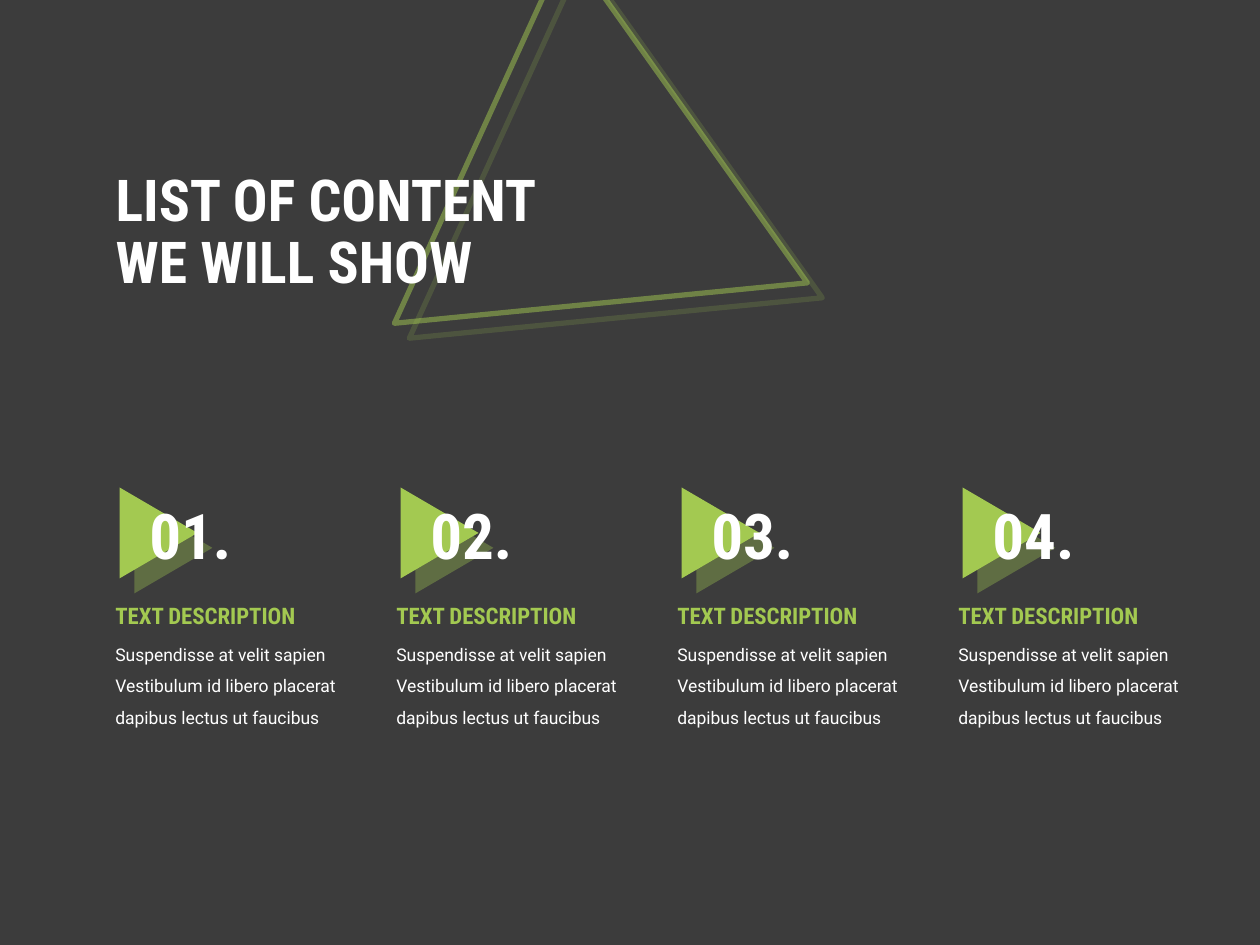
from lxml.etree import SubElement
from pptx import Presentation
from pptx.dml.color import RGBColor
from pptx.enum.shapes import MSO_SHAPE
from pptx.enum.text import MSO_ANCHOR, MSO_AUTO_SIZE, PP_ALIGN
from pptx.oxml.ns import qn
from pptx.util import Emu, Pt

EMU_PER_PX = 914400 / 126
GREEN, WHITE, DARK = "A3C951", "FFFFFF", "3C3C3C"
HEAD_FONT, BODY_FONT = "Roboto Condensed", "Roboto"

NUMBERS = ["01.", "02.", "03.", "04."]
HEADING = "TEXT DESCRIPTION"
DESCRIPTION = "Suspendisse at velit sapien Vestibulum id libero placerat dapibus lectus ut faucibus"
COLUMN_LEFT, COLUMN_PITCH = 103, 281


def px(length):
    return Emu(round(length * EMU_PER_PX))


def rgb(hex_colour):
    return RGBColor.from_string(hex_colour)


def add_alpha(colour_element, percent):
    SubElement(colour_element, qn("a:alpha"), val=str(percent * 1000))


def add_shadow(shape):
    """Give the shape a hard green shadow, down and to the right."""
    shape.shadow.inherit = False
    effects = shape._element.spPr.find(qn("a:effectLst"))
    shadow = SubElement(effects, qn("a:outerShdw"), blurRad="0", dist=str(Pt(12.1)),
                        dir=str(45 * 60000), algn="tl", rotWithShape="0")
    add_alpha(SubElement(shadow, qn("a:srgbClr"), val=GREEN), 35)


def add_triangle(slide, left, top, width, height, rotation, outlined=False):
    triangle = slide.shapes.add_shape(
        MSO_SHAPE.ISOSCELES_TRIANGLE, px(left), px(top), px(width), px(height))
    triangle.rotation = rotation
    if outlined:
        triangle.fill.background()
        triangle.line.color.rgb = rgb(GREEN)
        triangle.line.width = Pt(3)
        add_alpha(triangle.line._ln.find(".//" + qn("a:srgbClr")), 50)
    else:
        triangle.fill.solid()
        triangle.fill.fore_color.rgb = rgb(GREEN)
        triangle.line.fill.background()
    add_shadow(triangle)
    return triangle


def add_run(paragraph, text, size, colour, font_name, bold):
    run = paragraph.add_run()
    run.text = text
    run.font.size = Pt(size)
    run.font.name = font_name
    run.font.bold = bold
    run.font.color.rgb = rgb(colour)


def add_text(slide, left, top, width, height, text, size, colour=WHITE,
             font_name=HEAD_FONT, bold=True, line_spacing=None):
    frame = slide.shapes.add_textbox(px(left), px(top), px(width), px(height)).text_frame
    frame.word_wrap = True
    frame.auto_size = MSO_AUTO_SIZE.SHAPE_TO_FIT_TEXT
    paragraph = frame.paragraphs[0]
    paragraph.line_spacing = line_spacing
    add_run(paragraph, text, size, colour, font_name, bold)


def format_title(slide, lines):
    title = slide.shapes.title
    title.left, title.top, title.width, title.height = px(103), px(134), px(532), px(199)
    frame = title.text_frame
    frame.word_wrap = True
    frame.auto_size = MSO_AUTO_SIZE.NONE
    frame.vertical_anchor = MSO_ANCHOR.MIDDLE
    paragraph = frame.paragraphs[0]
    paragraph.alignment = PP_ALIGN.LEFT
    paragraph.line_spacing = 0.9
    for index, line in enumerate(lines):
        if index:
            paragraph.add_line_break()
        add_run(paragraph, line, 33, WHITE, HEAD_FONT, True)


def add_content_column(slide, left, number):
    add_triangle(slide, left + 10, 494, 91, 78, 90)
    add_text(slide, left + 34, 490, 125, 88, number, 36)
    add_text(slide, left, 627, 266, 107, DESCRIPTION, 10,
             font_name=BODY_FONT, bold=False, line_spacing=1.5)
    add_text(slide, left, 596, 232, 68, HEADING, 13, colour=GREEN)


def main():
    prs = Presentation()
    prs.slide_width, prs.slide_height = px(1260), px(945)
    slide = prs.slides.add_slide(prs.slide_layouts[5])
    slide.background.fill.solid()
    slide.background.fill.fore_color.rgb = rgb(DARK)

    backdrop = add_triangle(slide, 436, 29, 416, 359, 114.5, outlined=True)
    slide.shapes.title._element.addprevious(backdrop._element)
    format_title(slide, ["LIST OF CONTENT", "WE WILL SHOW"])
    for index, number in enumerate(NUMBERS):
        add_content_column(slide, COLUMN_LEFT + index * COLUMN_PITCH, number)
    prs.save("out.pptx")


if __name__ == "__main__":
    main()
